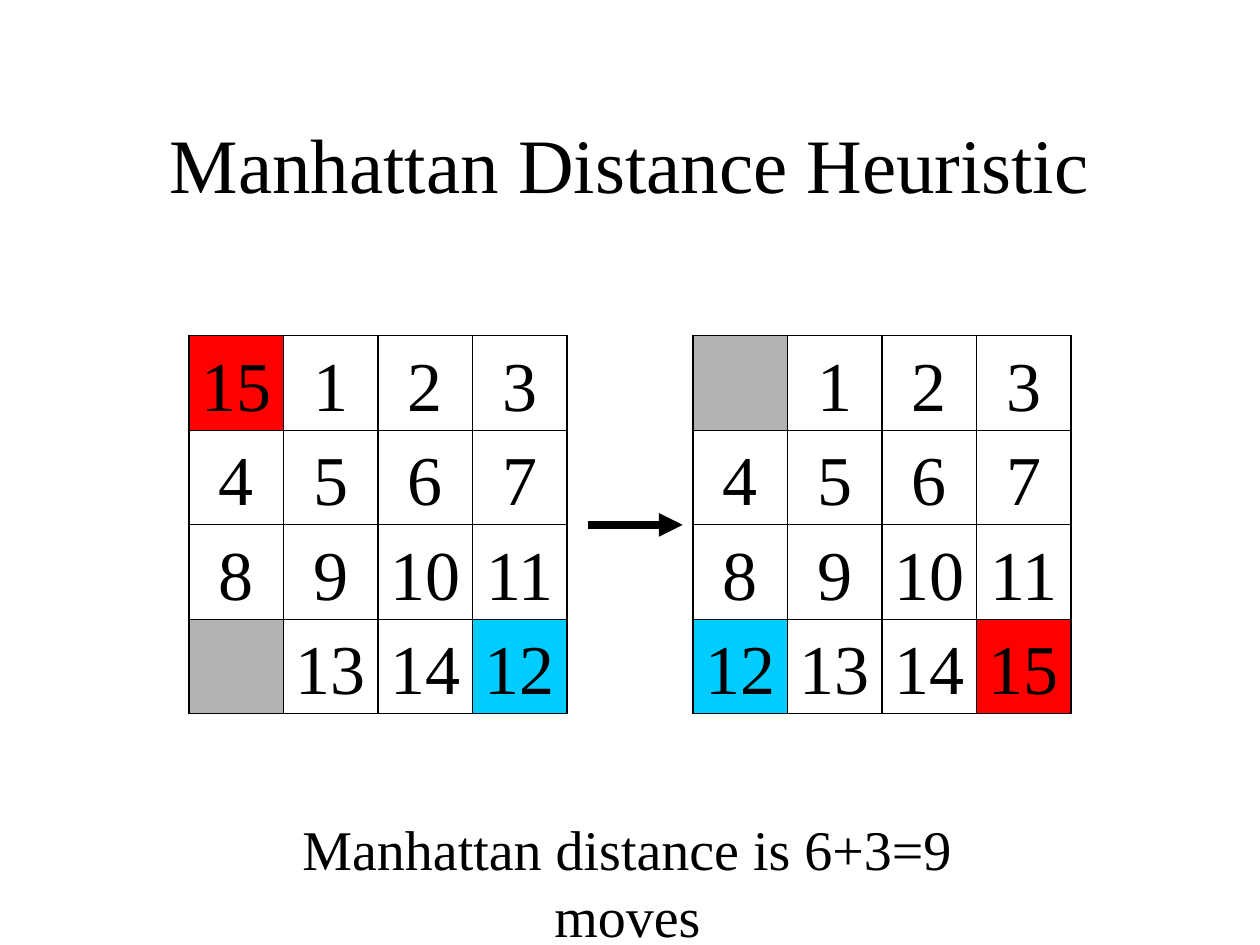
from dataclasses import dataclass

from pptx import Presentation
from pptx.dml.color import RGBColor
from pptx.enum.shapes import MSO_CONNECTOR, MSO_SHAPE
from pptx.enum.text import MSO_ANCHOR, PP_ALIGN
from pptx.oxml.ns import qn
from pptx.shapes.autoshape import Shape
from pptx.shapes.connector import Connector
from pptx.shapes.shapetree import GroupShapes, SlideShapes
from pptx.text.text import TextFrame
from pptx.util import Cm, Pt
from lxml.etree import SubElement

BLACK = RGBColor(0x00, 0x00, 0x00)
GRAY = RGBColor(0xB2, 0xB2, 0xB2)
RED = RGBColor(0xFF, 0x00, 0x00)
BLUE = RGBColor(0x00, 0xCC, 0xFF)
FILLS = {0: GRAY, 12: BLUE, 15: RED}

FONT = "Times New Roman"
COUNT = 4
SIDE = Cm(7.62)
TILE = SIDE // COUNT
TOP = Cm(6.77)
MIDDLE = TOP + SIDE // 2


@dataclass
class Board:
    left: int
    tiles: list[int]


@dataclass
class Label:
    text: str
    left: int
    top: int
    width: int
    height: int
    size: int
    anchor: MSO_ANCHOR
    wrap: bool


BOARDS = [
    Board(Cm(13.97), [0, *range(1, 16)]),
    Board(Cm(3.81), [15, *range(1, 12), 0, 13, 14, 12]),
]
LABELS = [
    Label("Manhattan Distance Heuristic", Cm(1.9), Cm(1.7), Cm(21.6), Cm(3.18),
          44, MSO_ANCHOR.MIDDLE, True),
    Label("Manhattan distance is 6+3=9 moves", Cm(4.23), Cm(16.3), Cm(16.84), Cm(1.62),
          32, MSO_ANCHOR.TOP, False),
]


def write(frame: TextFrame, text: str, size: int, anchor: MSO_ANCHOR, wrap: bool) -> None:
    frame.word_wrap = wrap
    frame.vertical_anchor = anchor
    par = frame.paragraphs[0]
    par.text = text
    par.alignment = PP_ALIGN.CENTER
    par.font.name = FONT
    par.font.size = Pt(size)
    par.font.color.rgb = BLACK


def draw_label(shapes: SlideShapes, label: Label) -> None:
    box = shapes.add_textbox(label.left, label.top, label.width, label.height)
    write(box.text_frame, label.text, label.size, label.anchor, label.wrap)


def draw_square(shapes: GroupShapes, left: int, top: int, side: int,
                fill: RGBColor | None = None) -> Shape:
    square = shapes.add_shape(MSO_SHAPE.RECTANGLE, left, top, side, side)
    square.shadow.inherit = False
    square.line.color.rgb = BLACK
    square.line.width = Pt(0.75)
    if fill is None:
        square.fill.background()
    else:
        square.fill.solid()
        square.fill.fore_color.rgb = fill
    return square


def draw_line(shapes: SlideShapes | GroupShapes, start: tuple[int, int],
              end: tuple[int, int], width: float) -> Connector:
    line = shapes.add_connector(MSO_CONNECTOR.STRAIGHT, *start, *end)
    line.line.color.rgb = BLACK
    line.line.width = Pt(width)
    SubElement(line._element.spPr, qn("a:effectLst"))
    return line


def draw_board(shapes: SlideShapes, board: Board) -> None:
    group = shapes.add_group_shape().shapes
    left, right, bottom = board.left, board.left + SIDE, TOP + SIDE
    frame = draw_square(group, left, TOP, SIDE)
    for step in range(1, COUNT):
        x, y = left + step * TILE, TOP + step * TILE
        down = draw_line(group, (x, TOP), (x, bottom), 0.75)
        across = draw_line(group, (left, y), (right, y), 0.75)
        if step * 2 == COUNT:
            down.begin_connect(frame, 0)
            down.end_connect(frame, 2)
            across.begin_connect(frame, 1)
            across.end_connect(frame, 3)
    for index, number in enumerate(board.tiles):
        row, col = divmod(index, COUNT)
        tile = draw_square(group, left + col * TILE, TOP + row * TILE, TILE,
                           FILLS.get(number))
        if number:
            write(tile.text_frame, str(number), 40, MSO_ANCHOR.MIDDLE, False)


def draw_arrow(shapes: SlideShapes) -> None:
    arrow = draw_line(shapes, (Cm(11.85), MIDDLE), (Cm(13.76), MIDDLE), 4.5)
    SubElement(arrow.line._get_or_add_ln(), qn("a:tailEnd"), type="triangle")


def main() -> None:
    deck = Presentation()
    deck.slide_width = Cm(25.4)
    deck.slide_height = Cm(19.05)
    shapes = deck.slides.add_slide(deck.slide_layouts[6]).shapes
    for label in LABELS:
        draw_label(shapes, label)
    for board in BOARDS:
        draw_board(shapes, board)
    draw_arrow(shapes)
    deck.save("out.pptx")


if __name__ == "__main__":
    main()
